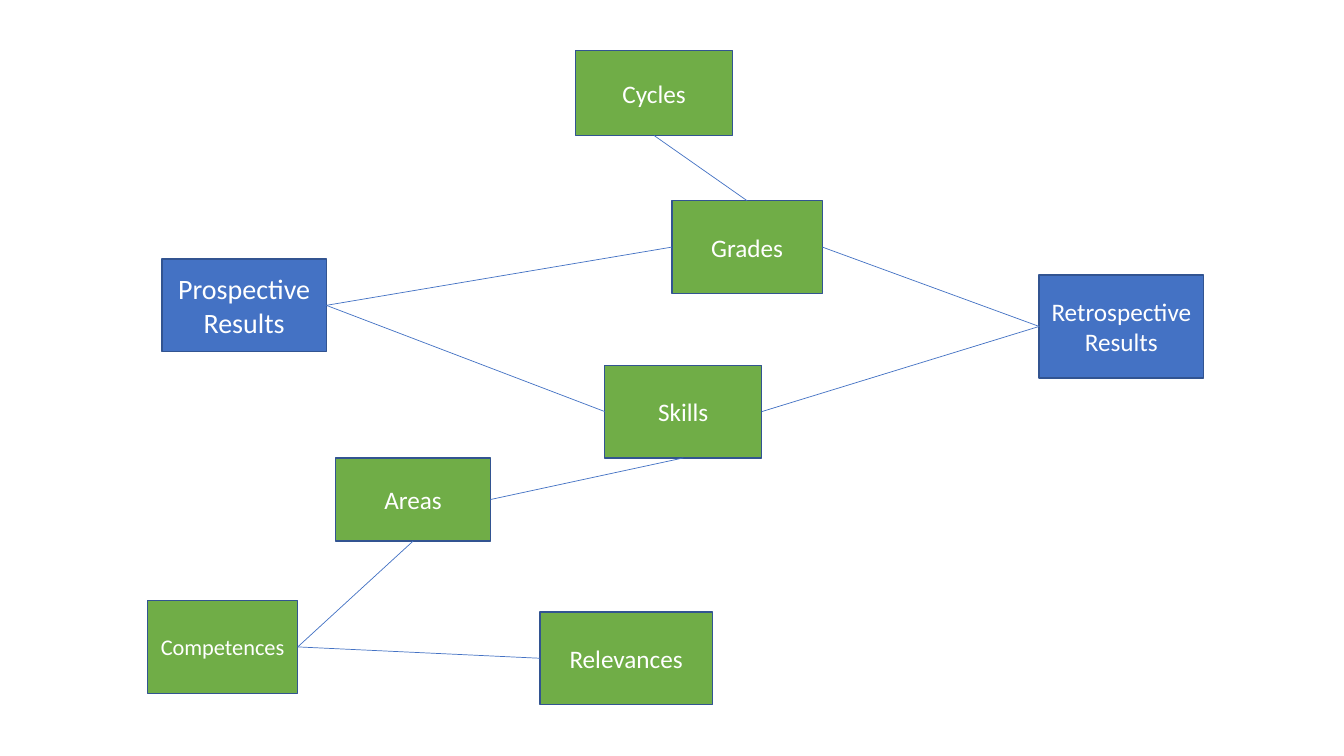
import pptx
import pptx.util
import pptx.dml.color
import pptx.enum.shapes
import pptx.enum.text
import pptx.oxml.ns
import lxml.etree

Pt = pptx.util.Pt
RGB = pptx.dml.color.RGBColor.from_string
hues = {"green": "70AD47", "blue": "4472C4", "edge": "325491", "text": "FFFFFF"}
sites = {"top": 0, "left": 1, "bottom": 2, "right": 3}

deck = pptx.Presentation()
deck.slide_width = Pt(960)
deck.slide_height = Pt(540)
slide = deck.slides.add_slide(deck.slide_layouts[6])

nodes = [
    ("Grades", 480, 143.4, 107.4, 66.2, "green", 18),
    ("Skills", 432, 260.9, 112.2, 66.2, "green", 18),
    ("Areas", 239.8, 327.1, 110.6, 59.4, "green", 18),
    ("Prospective Results", 115.7, 185, 117.4, 66.2, "blue", 20),
    ("Retrospective Results", 742.3, 196.4, 117.4, 73.6, "blue", 18),
    ("Cycles", 411.1, 36, 112.2, 60.8, "green", 18),
    ("Relevances", 385.7, 437.1, 123.2, 66.2, "green", 18),
    ("Competences", 105.3, 429, 107.4, 66.2, "green", 16),
]
links = [
    ("Prospective Results", "right", "Grades", "left"),
    ("Prospective Results", "right", "Skills", "left"),
    ("Cycles", "bottom", "Grades", "top"),
    ("Grades", "right", "Retrospective Results", "left"),
    ("Skills", "right", "Retrospective Results", "left"),
    ("Areas", "right", "Skills", "bottom"),
    ("Areas", "bottom", "Competences", "right"),
    ("Competences", "right", "Relevances", "left"),
]

boxes = {}
for label, left, top, width, height, hue, size in nodes:
    box = slide.shapes.add_shape(
        pptx.enum.shapes.MSO_SHAPE.RECTANGLE, Pt(left), Pt(top), Pt(width), Pt(height))
    box.shadow.inherit = False
    box.fill.solid()
    box.fill.fore_color.rgb = RGB(hues[hue])
    box.line.color.rgb = RGB(hues["edge"])
    box.line.width = Pt(1)
    frame = box.text_frame
    frame.text = label
    frame.word_wrap = True
    frame.vertical_anchor = pptx.enum.text.MSO_ANCHOR.MIDDLE
    para = frame.paragraphs[0]
    para.alignment = pptx.enum.text.PP_ALIGN.CENTER
    font = para.runs[0].font
    font.name = "Calibri"
    font.size = Pt(size)
    font.color.rgb = RGB(hues["text"])
    boxes[label] = box

for start, exit, end, entry in links:
    link = slide.shapes.add_connector(
        pptx.enum.shapes.MSO_CONNECTOR.STRAIGHT, Pt(0), Pt(0), Pt(0), Pt(0))
    link.begin_connect(boxes[start], sites[exit])
    link.end_connect(boxes[end], sites[entry])
    link.line.color.rgb = RGB(hues["blue"])
    link.line.width = Pt(0.5)
    lxml.etree.SubElement(link._element.spPr, pptx.oxml.ns.qn("a:effectLst"))

deck.save("out.pptx")
